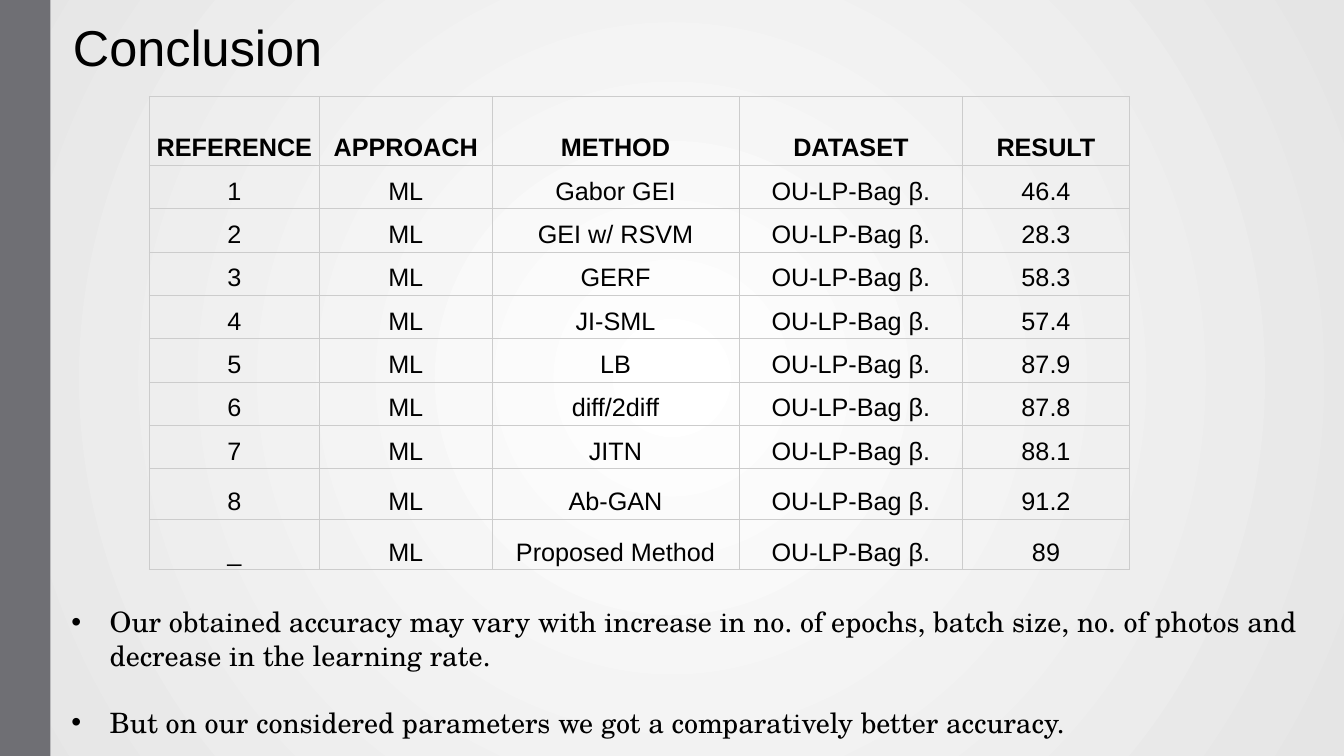
from dataclasses import dataclass

from lxml import etree
from pptx import Presentation
from pptx import util as u
from pptx.dml.color import RGBColor
from pptx.enum import shapes, text
from pptx.oxml.ns import qn


@dataclass(frozen=True)
class Theme:
    ink: str = "000000"
    sidebar: str = "6F6F74"
    grid: str = "CCCCCC"
    centre: str = "FFFFFF"
    edge: str = "E5E5E5"
    sans: str = "Arial"
    serif: str = "TeX Gyre Schola"
    title: int = 36
    table: int = 18
    body: int = 20


THEME = Theme()

HEADER = ["REFERENCE", "APPROACH", "METHOD", "DATASET", "RESULT"]
APPROACH, DATASET = "ML", "OU-LP-Bag β."
RESULTS = [
    ("1", "Gabor GEI", "46.4"),
    ("2", "GEI w/ RSVM", "28.3"),
    ("3", "GERF", "58.3"),
    ("4", "JI-SML", "57.4"),
    ("5", "LB", "87.9"),
    ("6", "diff/2diff", "87.8"),
    ("7", "JITN", "88.1"),
    ("8", "Ab-GAN", "91.2"),
    ("_", "Proposed Method", "89"),
]
COL_WIDTHS = [1.69, 1.71, 2.45, 2.22, 1.65]
ROW_HEIGHTS = [0.68] + [0.43] * 7 + [0.5] * 2
REMARKS = [
    "Our obtained accuracy may vary with increase in no. of epochs, batch size, "
    "no. of photos and decrease in the learning rate.",
    "But on our considered parameters we got a comparatively better accuracy.",
]


def box(left, top, width, height):
    return [u.Inches(v) for v in (left, top, width, height)]


def style(p, face, size, bold=False):
    p.font.name = face
    p.font.size = u.Pt(size)
    p.font.bold = bold
    p.font.color.rgb = RGBColor.from_string(THEME.ink)


def set_background(s):
    """Fill the slide with a circular gradient, lightest in the centre."""
    fill = s.background.fill
    fill.gradient()
    for stop, colour, pos in zip(fill.gradient_stops, (THEME.centre, THEME.edge), (0, 1)):
        stop.color.rgb = RGBColor.from_string(colour)
        stop.position = pos
    grad = s.element.find(".//" + qn("a:gradFill"))
    lin = grad.find(qn("a:lin"))
    circle = etree.Element(qn("a:path"), path="circle")
    etree.SubElement(circle, qn("a:fillToRect"), {side: "100000" for side in "ltrb"})
    grad.replace(lin, circle)


def add_sidebar(s):
    sp = s.shapes.add_shape(shapes.MSO_SHAPE.RECTANGLE, *box(0, 0, 0.5, 7.5))
    sp.shadow.inherit = False
    sp.fill.solid()
    sp.fill.fore_color.rgb = RGBColor.from_string(THEME.sidebar)
    sp.line.fill.background()


def set_title(s, wording):
    sp = s.shapes.title
    sp.left, sp.top, sp.width, sp.height = box(0.61, 0.11, 2.7, 0.71)
    tf = sp.text_frame
    tf.text = wording
    tf.word_wrap = False
    tf.auto_size = text.MSO_AUTO_SIZE.SHAPE_TO_FIT_TEXT
    tf.vertical_anchor = text.MSO_ANCHOR.TOP
    p = tf.paragraphs[0]
    p.alignment = text.PP_ALIGN.CENTER
    style(p, THEME.sans, THEME.title)


def add_borders(cell):
    tcPr = cell._tc.get_or_add_tcPr()
    for side in ("lnL", "lnR", "lnT", "lnB"):
        ln = etree.SubElement(tcPr, qn("a:" + side), w=str(u.Pt(0.75)))
        fill = etree.SubElement(ln, qn("a:solidFill"))
        etree.SubElement(fill, qn("a:srgbClr"), val=THEME.grid)


def fill_cell(cell, wording, bold):
    cell.text = wording
    cell.vertical_anchor = text.MSO_ANCHOR.BOTTOM
    cell.margin_left = cell.margin_right = u.Inches(0.03)
    cell.margin_top = cell.margin_bottom = u.Inches(0.03)
    add_borders(cell)
    cell.fill.background()
    p = cell.text_frame.paragraphs[0]
    p.alignment = text.PP_ALIGN.CENTER
    style(p, THEME.sans, THEME.table, bold)


def add_results_table(s):
    rows = [HEADER] + [[ref, APPROACH, method, DATASET, result]
                       for ref, method, result in RESULTS]
    frame = s.shapes.add_table(len(rows), len(HEADER),
                               *box(1.48, 0.96, sum(COL_WIDTHS), sum(ROW_HEIGHTS)))
    table = frame.table
    table.first_row = table.horz_banding = False
    for col, width in zip(table.columns, COL_WIDTHS):
        col.width = u.Inches(width)
    for i, (row, height) in enumerate(zip(table.rows, ROW_HEIGHTS)):
        row.height = u.Inches(height)
        for cell, wording in zip(row.cells, rows[i]):
            fill_cell(cell, wording, bold=i == 0)


def add_bullets(s, items):
    tf = s.shapes.add_textbox(*box(0.61, 5.95, 12.73, 1.45)).text_frame
    tf.word_wrap = True
    tf.auto_size = text.MSO_AUTO_SIZE.SHAPE_TO_FIT_TEXT
    for i, item in enumerate(items):
        p = tf.add_paragraph() if i else tf.paragraphs[0]
        p.text = item
        style(p, THEME.serif, THEME.body)
        if i:
            p.space_before = u.Pt(24)
        pPr = p._p.get_or_add_pPr()
        pPr.set("marL", str(u.Inches(0.38)))
        pPr.set("indent", str(-u.Inches(0.38)))
        bullet_font = etree.Element(qn("a:buFont"), typeface=THEME.sans)
        bullet = etree.Element(qn("a:buChar"), char="•")
        defaults = pPr.find(qn("a:defRPr"))
        defaults.addprevious(bullet_font)
        defaults.addprevious(bullet)


def main():
    prs = Presentation()
    prs.slide_width, prs.slide_height = u.Inches(13.33), u.Inches(7.5)
    s = prs.slides.add_slide(prs.slide_layouts.get_by_name("Title Only"))
    set_background(s)
    add_sidebar(s)
    set_title(s, "Conclusion")
    add_results_table(s)
    add_bullets(s, REMARKS)
    prs.save("out.pptx")


if __name__ == "__main__":
    main()
